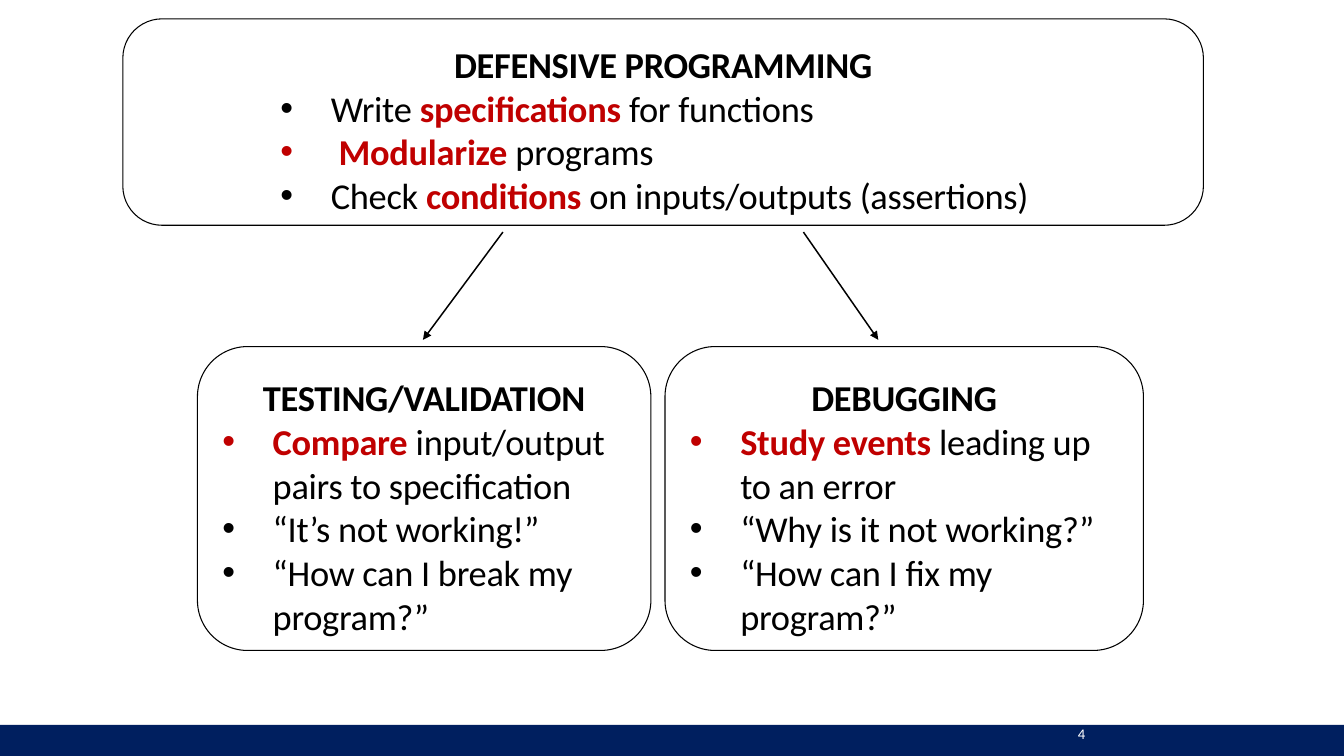
from lxml.etree import SubElement
from pptx import Presentation
from pptx.dml.color import RGBColor
from pptx.enum.shapes import MSO_CONNECTOR, MSO_SHAPE
from pptx.enum.text import MSO_ANCHOR, PP_ALIGN
from pptx.oxml.ns import qn
from pptx.util import Inches, Pt

WIDTH, HEIGHT = 21.99, 12.37
COLUMN, ROW = WIDTH / 100, HEIGHT / 100
COLORS = {"ink": "000000", "key": "C00000", "band": "001F5F", "paper": "FFFFFF"}
FONT = "Calibri"
TEXT_SIZE, LINE_PITCH = 42.9, 51.5
BULLET_COLUMN, TEXT_COLUMN, SHIFTED_COLUMN = 0.12, 3.87, 4.46
CORNER_SHARE = 0.29289

PRACTICES = {
    "box": (9.14, 2.5, 80.4, 27.3), "corner": 0.19, "padding": (11.6, 3.07),
    "title": "DEFENSIVE PROGRAMMING",
    "points": [
        (TEXT_COLUMN, "Write ", "specifications ", "for functions"),
        (SHIFTED_COLUMN, "", "Modularize ", "programs"),
        (TEXT_COLUMN, "Check ", "conditions ", "on inputs/outputs (assertions)"),
    ],
}
TESTING = {
    "box": (14.69, 45.84, 33.74, 40.2), "corner": 0.165, "padding": (1.73, 3.8),
    "title": "TESTING/VALIDATION",
    "points": [
        (TEXT_COLUMN, "", "Compare ", "input/output pairs to specification"),
        (TEXT_COLUMN, "“It’s not working!”", "", ""),
        (TEXT_COLUMN, "“How can I break my program?”", "", ""),
    ],
}
DEBUGGING = {
    "box": (49.48, 45.84, 35.6, 40.2), "corner": 0.165, "padding": (1.73, 3.8),
    "title": "DEBUGGING",
    "points": [
        (TEXT_COLUMN, "", "Study events ", "leading up to an error"),
        (TEXT_COLUMN, "“Why is it not working?”", "", ""),
        (TEXT_COLUMN, "“How can I fix my program?”", "", ""),
    ],
}
ARROWS = [(37.42, 30.7, 31.47, 44.95), (59.78, 30.7, 65.35, 44.95)]


def columns(count):
    return Inches(count * COLUMN)


def rows(count):
    return Inches(count * ROW)


def place(box):
    left, top, width, height = box
    return columns(left), rows(top), columns(width), rows(height)


def color(name):
    return RGBColor.from_string(COLORS[name])


def write(paragraph, words, size, ink, bold=False):
    run = paragraph.add_run()
    run.text = words
    run.font.name = FONT
    run.font.size = Pt(size)
    run.font.bold = bold
    run.font.color.rgb = color(ink)
    run.font._element.set("spc", "-30")


def set_bullet(paragraph, text_column):
    properties = paragraph._p.get_or_add_pPr()
    properties.set("marL", str(columns(text_column)))
    properties.set("indent", str(columns(BULLET_COLUMN - text_column)))
    SubElement(properties, qn("a:buFont"), typeface="Arial")
    SubElement(properties, qn("a:buChar"), char="•")


def draw_topic(slide, topic):
    panel = slide.shapes.add_shape(MSO_SHAPE.ROUNDED_RECTANGLE, *place(topic["box"]))
    panel.adjustments[0] = topic["corner"]
    panel.shadow.inherit = False
    panel.fill.background()
    panel.line.color.rgb = color("ink")
    panel.line.width = Pt(1.25)

    corner_inset = int(panel.height * topic["corner"] * CORNER_SHARE)
    side, top = topic["padding"]
    frame = panel.text_frame
    frame.word_wrap = True
    frame.vertical_anchor = MSO_ANCHOR.TOP
    frame.margin_left = frame.margin_right = columns(side) - corner_inset
    frame.margin_top = rows(top) - corner_inset
    frame.margin_bottom = 0

    title = frame.paragraphs[0]
    title.alignment = PP_ALIGN.CENTER
    title.line_spacing = Pt(LINE_PITCH)
    write(title, topic["title"], TEXT_SIZE, "ink", True)
    for text_column, before, key, after in topic["points"]:
        point = frame.add_paragraph()
        point.alignment = PP_ALIGN.LEFT
        point.line_spacing = Pt(LINE_PITCH)
        set_bullet(point, text_column)
        for words, is_key in ((before, False), (key, True), (after, False)):
            if words:
                write(point, words, TEXT_SIZE, "key" if is_key else "ink", is_key)


def draw_arrow(slide, start_column, start_row, end_column, end_row):
    arrow = slide.shapes.add_connector(
        MSO_CONNECTOR.STRAIGHT, columns(start_column), rows(start_row),
        columns(end_column), rows(end_row))
    arrow.line.color.rgb = color("ink")
    arrow.line.width = Pt(1.75)
    SubElement(arrow.line._get_or_add_ln(), qn("a:tailEnd"), type="triangle", w="lg", len="lg")
    SubElement(arrow._element.spPr, qn("a:effectLst"))


def draw_footer(slide, box, number):
    left, top, width, height = box
    band = slide.shapes.add_shape(MSO_SHAPE.RECTANGLE, *place(box))
    band.shadow.inherit = False
    band.fill.solid()
    band.fill.fore_color.rgb = color("band")
    band.line.fill.background()

    page = slide.shapes.add_textbox(*place((left + 0.8 * width, top, 0.01 * width, 0.57 * height)))
    frame = page.text_frame
    frame.margin_left = columns(0.2)
    frame.margin_right = frame.margin_top = frame.margin_bottom = 0
    write(frame.paragraphs[0], number, 17.3, "paper")


def main():
    presentation = Presentation()
    presentation.slide_width = Inches(WIDTH)
    presentation.slide_height = Inches(HEIGHT)
    slide = presentation.slides.add_slide(presentation.slide_layouts[6])
    draw_footer(slide, (0, 95.88, 100, 4.12), "4")
    for topic in (PRACTICES, TESTING, DEBUGGING):
        draw_topic(slide, topic)
    for ends in ARROWS:
        draw_arrow(slide, *ends)
    presentation.save("out.pptx")


if __name__ == "__main__":
    main()
